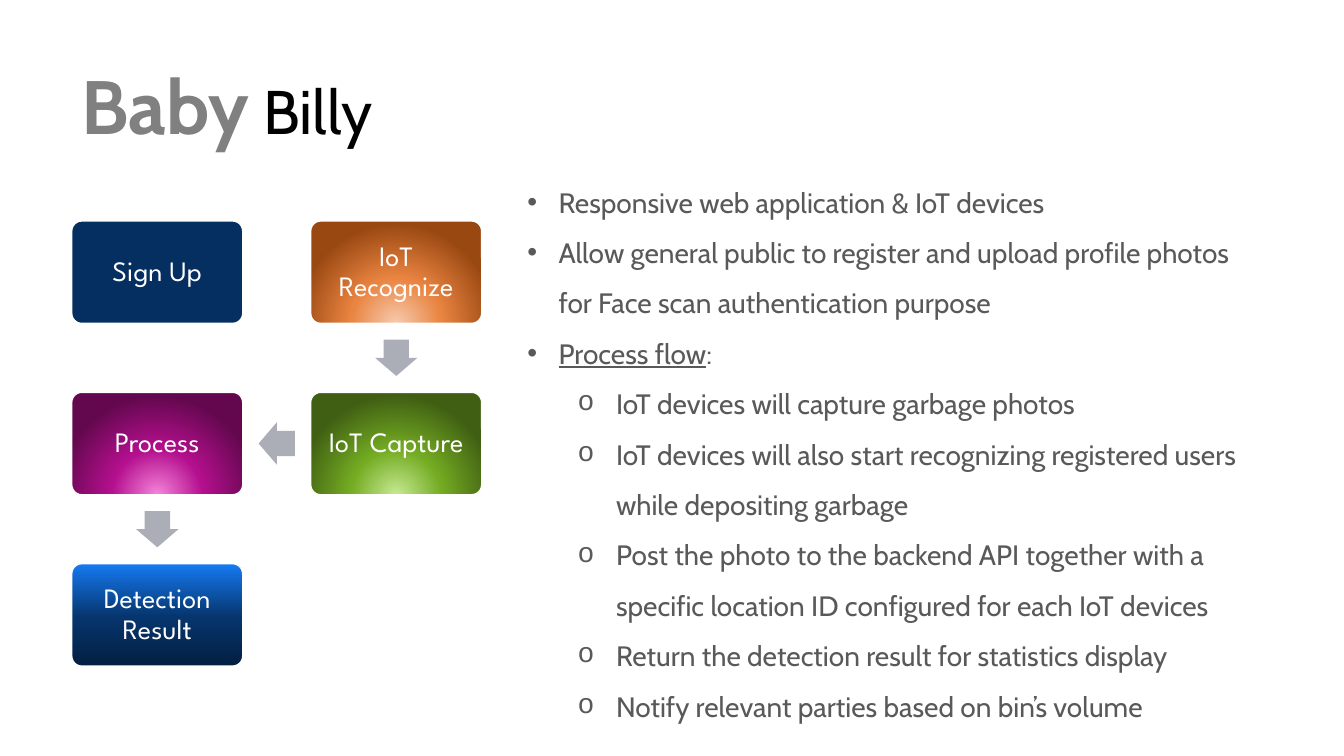
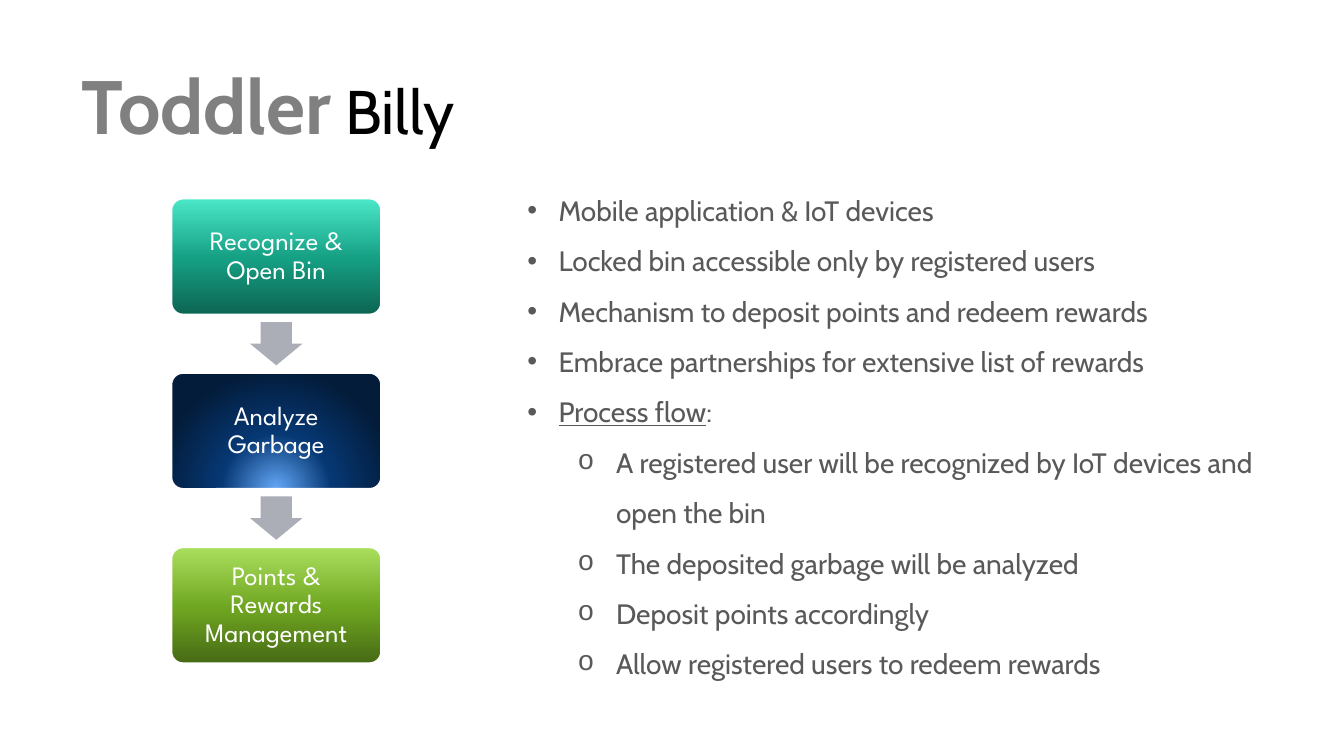
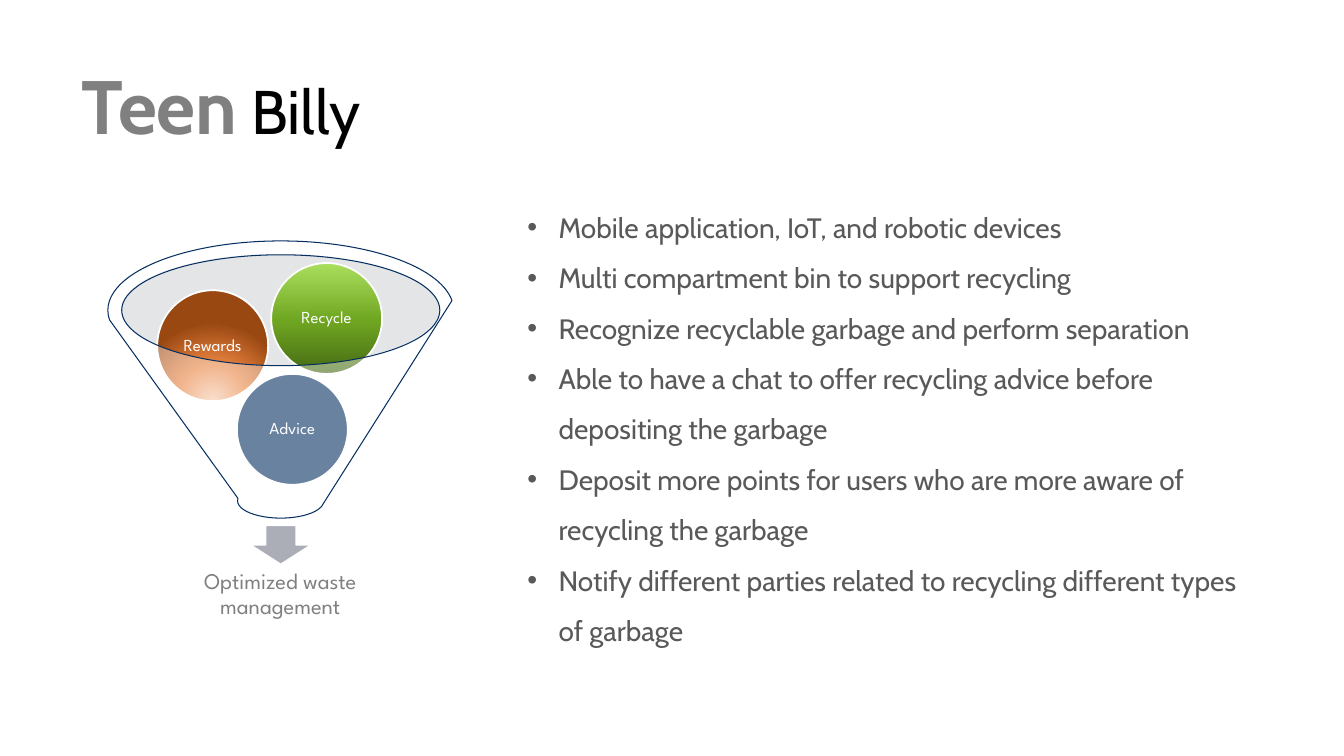
from math import atan2, degrees

from lxml.etree import SubElement
from pptx import Presentation
from pptx.dml.color import RGBColor
from pptx.enum.shapes import MSO_SHAPE
from pptx.enum.text import MSO_ANCHOR, MSO_AUTO_SIZE, PP_ALIGN
from pptx.oxml.ns import qn
from pptx.util import Inches, Pt

BODY_FONT, DIAGRAM_FONT = "Cabin", "League Spartan"
WHITE = RGBColor(0xFF, 0xFF, 0xFF)
BLACK = RGBColor(0x00, 0x00, 0x00)
GRAY = RGBColor(0x80, 0x80, 0x80)
DARK_GRAY = RGBColor(0x59, 0x59, 0x59)
ARROW_GRAY = RGBColor(0xAB, 0xAD, 0xB7)
RIM_GRAY = RGBColor(0xBD, 0xBE, 0xC5)
NAVY = RGBColor(0x05, 0x2F, 0x61)


def shades(*hex_codes):
    """Turn hex codes into a tuple of colours."""
    return tuple(RGBColor.from_string(code) for code in hex_codes)


# A gradient is (kind, colours); each kind has its own stop positions.
STOPS = {"glow": (0, 46, 100), "rise": (0, 48, 100)}
ORANGE_GLOW = ("glow", shades("F6CBAF", "E98441", "9A4812"))
GREEN_GLOW = ("glow", shades("C7EA94", "73AB22", "405F13"))
PURPLE_GLOW = ("glow", shades("F585DB", "B40F8E", "63084E"))
BLUE_GLOW = ("glow", shades("64A7F7", "063874", "031C3A"))
BLUE_RISE = ("rise", shades("031F41", "06356D", "167BF3"))
TEAL_RISE = ("rise", shades("0D6553", "159F83", "4BE7C8"))
GREEN_RISE = ("rise", shades("476A15", "6FA621", "AADF5E"))

# Flow boxes are (column, row, label, fill); links join boxes by index.
BABY = {
    "stage": "Baby",
    "body": (5.13, 1.62, 7.54, 5.54),
    "anchor": MSO_ANCHOR.TOP,
    "points": [
        "Responsive web application & IoT devices",
        "Allow general public to register and upload profile photos "
        "for Face scan authentication purpose",
    ],
    "steps": [
        "IoT devices will capture garbage photos",
        "IoT devices will also start recognizing registered users while depositing garbage",
        "Post the photo to the backend API together with a specific location ID "
        "configured for each IoT devices",
        "Return the detection result for statistics display",
        "Notify relevant parties based on bin’s volume",
    ],
}
BABY_FLOW = {
    "origin": (0.71, 2.19), "box": (1.7, 1.02), "pitch": (2.37, 1.7),
    "arrow": (0.36, 0.42), "size": 20,
    "boxes": [
        (0, 0, "Sign Up", NAVY),
        (1, 0, "IoT Recognize", ORANGE_GLOW),
        (1, 1, "IoT Capture", GREEN_GLOW),
        (0, 1, "Process", PURPLE_GLOW),
        (0, 2, "Detection Result", BLUE_RISE),
    ],
    "links": [(1, 2), (2, 3), (3, 4)],
}
TODDLER = {
    "stage": "Toddler",
    "body": (5.13, 1.7, 7.5, 5.21),
    "anchor": MSO_ANCHOR.TOP,
    "points": [
        "Mobile application & IoT devices",
        "Locked bin accessible only by registered users",
        "Mechanism to deposit points and redeem rewards",
        "Embrace partnerships for extensive list of rewards",
    ],
    "steps": [
        "A registered user will be recognized by IoT devices and open the bin",
        "The deposited garbage will be analyzed",
        "Deposit points accordingly",
        "Allow registered users to redeem rewards",
    ],
}
TODDLER_FLOW = {
    "origin": (1.7, 1.97), "box": (2.08, 1.15), "pitch": (0, 1.73),
    "arrow": (0.43, 0.52), "size": 19,
    "boxes": [
        (0, 0, "Recognize & Open Bin", TEAL_RISE),
        (0, 1, "Analyze Garbage", BLUE_GLOW),
        (0, 2, "Points & Rewards Management", GREEN_RISE),
    ],
    "links": [(0, 1), (1, 2)],
}
TEEN = {
    "stage": "Teen",
    "body": (5.13, 1.7, 7.5, 4.94),
    "anchor": MSO_ANCHOR.MIDDLE,
    "points": [
        "Mobile application, IoT, and robotic devices",
        "Multi compartment bin to support recycling",
        "Recognize recyclable garbage and perform separation",
        "Able to have a chat to offer recycling advice before depositing the garbage",
        "Deposit more points for users who are more aware of recycling the garbage",
        "Notify different parties related to recycling different types of garbage",
    ],
    "steps": [],
}
BALL_SIZE = 1.1
BALLS = [
    (2.35, 3.71, "Advice", NAVY),
    (1.56, 2.88, "Rewards", ORANGE_GLOW),
    (2.69, 2.61, "Recycle", GREEN_RISE),
]
OUTCOME = "Optimized waste management"

# Bullet per level: character, font, left margin, hanging indent.
BULLETS = [("•", "Arial", 0.31, 0.31), ("o", "Courier New", 0.88, 0.38)]


def place(shape, left, top, width, height):
    """Move and size a shape, in inches."""
    shape.left, shape.top = Inches(left), Inches(top)
    shape.width, shape.height = Inches(width), Inches(height)


def set_font(font, name, size, color, bold=None):
    """Set the face, size and colour of a font."""
    font.name, font.size, font.bold = name, Pt(size), bold
    font.color.rgb = color


def fill_gradient(shape, kind, colors):
    """Give a shape a glow from below or a rise from bottom to top."""
    shape.fill.solid()
    solid = shape.fill._xPr.find(qn("a:solidFill"))
    gradient = solid.makeelement(qn("a:gradFill"), {"rotWithShape": "1"})
    stop_list = SubElement(gradient, qn("a:gsLst"))
    for position, color in zip(STOPS[kind], colors):
        stop = SubElement(stop_list, qn("a:gs"), pos=str(position * 1000))
        SubElement(stop, qn("a:srgbClr"), val=str(color))
    if kind == "glow":
        circle = SubElement(gradient, qn("a:path"), path="circle")
        SubElement(circle, qn("a:fillToRect"), l="50000", t="130000", r="50000", b="-30000")
    else:
        SubElement(gradient, qn("a:lin"), ang="16200000", scaled="0")
    solid.getparent().replace(solid, gradient)


def add_figure(slide, preset, box, fill, line=None, line_width=1.25, opacity=None):
    """Add a preset shape with its fill and outline."""
    figure = slide.shapes.add_shape(preset, *map(Inches, box))
    figure.shadow.inherit = False
    if isinstance(fill, RGBColor):
        figure.fill.solid()
        figure.fill.fore_color.rgb = fill
        if opacity is not None:
            color = figure.fill._xPr.find(qn("a:solidFill"))[0]
            SubElement(color, qn("a:alpha"), val=str(opacity * 1000))
    else:
        fill_gradient(figure, *fill)
    if line is None:
        figure.line.fill.background()
    else:
        figure.line.color.rgb = line
        figure.line.width = Pt(line_width)
    return figure


def add_label(figure, label, size, color, inset):
    """Write centred diagram text in a shape."""
    frame = figure.text_frame
    frame.word_wrap = True
    frame.vertical_anchor = MSO_ANCHOR.MIDDLE
    frame.margin_left = frame.margin_right = Inches(inset)
    frame.margin_top = frame.margin_bottom = Inches(inset)
    paragraph = frame.paragraphs[0]
    paragraph.text = label
    paragraph.alignment = PP_ALIGN.CENTER
    paragraph.line_spacing = 0.9
    set_font(paragraph.font, DIAGRAM_FONT, size, color)


def add_bullet(paragraph, level):
    """Give a list paragraph its level, indent, bullet, spacing and font."""
    character, face, margin, hanging = BULLETS[level]
    paragraph.level = level
    paragraph.line_spacing = 1.5
    paragraph.space_before = Pt(0)
    properties = paragraph._p.get_or_add_pPr()
    properties.set("marL", str(Inches(margin)))
    properties.set("indent", str(-Inches(hanging)))
    SubElement(properties, qn("a:buFont"), typeface=face)
    SubElement(properties, qn("a:buChar"), char=character)
    set_font(paragraph.font, BODY_FONT, 20, DARK_GRAY)


def add_stage_slide(deck, content):
    """Add a slide with its two-tone title and its list."""
    slide = deck.slides.add_slide(deck.slide_layouts[1])
    title, body = slide.shapes.title, slide.placeholders[1]
    place(title, 0.71, 0.27, 11.92, 1.07)
    place(body, *content["body"])
    for holder, anchor in ((title, MSO_ANCHOR.MIDDLE), (body, content["anchor"])):
        holder.text_frame.auto_size = MSO_AUTO_SIZE.NONE
        holder.text_frame.word_wrap = True
        holder.text_frame.vertical_anchor = anchor

    heading = title.text_frame.paragraphs[0]
    heading.alignment = PP_ALIGN.LEFT
    heading.line_spacing = 1.5
    for words, size, color, bold in ((content["stage"], 54, GRAY, True),
                                     (" Billy", 44, BLACK, False)):
        run = heading.add_run()
        run.text = words
        set_font(run.font, BODY_FONT, size, color, bold)

    lines = [(0, [point]) for point in content["points"]]
    if content["steps"]:
        lines.append((0, ["Process flow", ":"]))
        lines += [(1, [step]) for step in content["steps"]]
    frame = body.text_frame
    for index, (level, parts) in enumerate(lines):
        paragraph = frame.add_paragraph() if index else frame.paragraphs[0]
        add_bullet(paragraph, level)
        for part in parts:
            run = paragraph.add_run()
            run.text = part
        if len(parts) > 1:
            paragraph.runs[0].font.underline = True
    return slide


def add_flow(slide, flow):
    """Draw boxes on a grid and an arrow midway along each link."""
    width, height = flow["box"]
    centers = []
    for column, row, label, fill in flow["boxes"]:
        left = flow["origin"][0] + column * flow["pitch"][0]
        top = flow["origin"][1] + row * flow["pitch"][1]
        box = add_figure(slide, MSO_SHAPE.ROUNDED_RECTANGLE,
                         (left, top, width, height), fill, WHITE)
        box.adjustments[0] = 0.1
        add_label(box, label, flow["size"], WHITE, 0.08)
        centers.append((left + width / 2, top + height / 2))

    length, breadth = flow["arrow"]
    for start, end in flow["links"]:
        (x1, y1), (x2, y2) = centers[start], centers[end]
        arrow = add_figure(slide, MSO_SHAPE.RIGHT_ARROW,
                           ((x1 + x2 - length) / 2, (y1 + y2 - breadth) / 2, length, breadth),
                           ARROW_GRAY)
        arrow.adjustments[0], arrow.adjustments[1] = 0.6, 0.5
        arrow.rotation = degrees(atan2(y2 - y1, x2 - x1))


def add_funnel(slide):
    """Draw the funnel, the balls in it and the outcome below."""
    add_figure(slide, MSO_SHAPE.OVAL, (1.2, 2.52, 3.16, 1.1), RIM_GRAY, opacity=40)
    add_figure(slide, MSO_SHAPE.DOWN_ARROW, (2.48, 5.21, 0.61, 0.39), ARROW_GRAY, WHITE)
    outcome = slide.shapes.add_textbox(*map(Inches, (1.31, 5.53, 2.94, 0.74)))
    add_label(outcome, OUTCOME, 16, GRAY, 0.12)
    for left, top, label, fill in BALLS:
        ball = add_figure(slide, MSO_SHAPE.OVAL, (left, top, BALL_SIZE, BALL_SIZE), fill, WHITE)
        add_label(ball, label, 12, WHITE, 0.02)
    add_figure(slide, MSO_SHAPE.FUNNEL, (1.07, 2.39, 3.43, 2.75), WHITE, NAVY, 0.75, opacity=40)


deck = Presentation()
deck.slide_width, deck.slide_height = Inches(13.33), Inches(7.5)
add_flow(add_stage_slide(deck, BABY), BABY_FLOW)
add_flow(add_stage_slide(deck, TODDLER), TODDLER_FLOW)
add_funnel(add_stage_slide(deck, TEEN))
deck.save("out.pptx")
